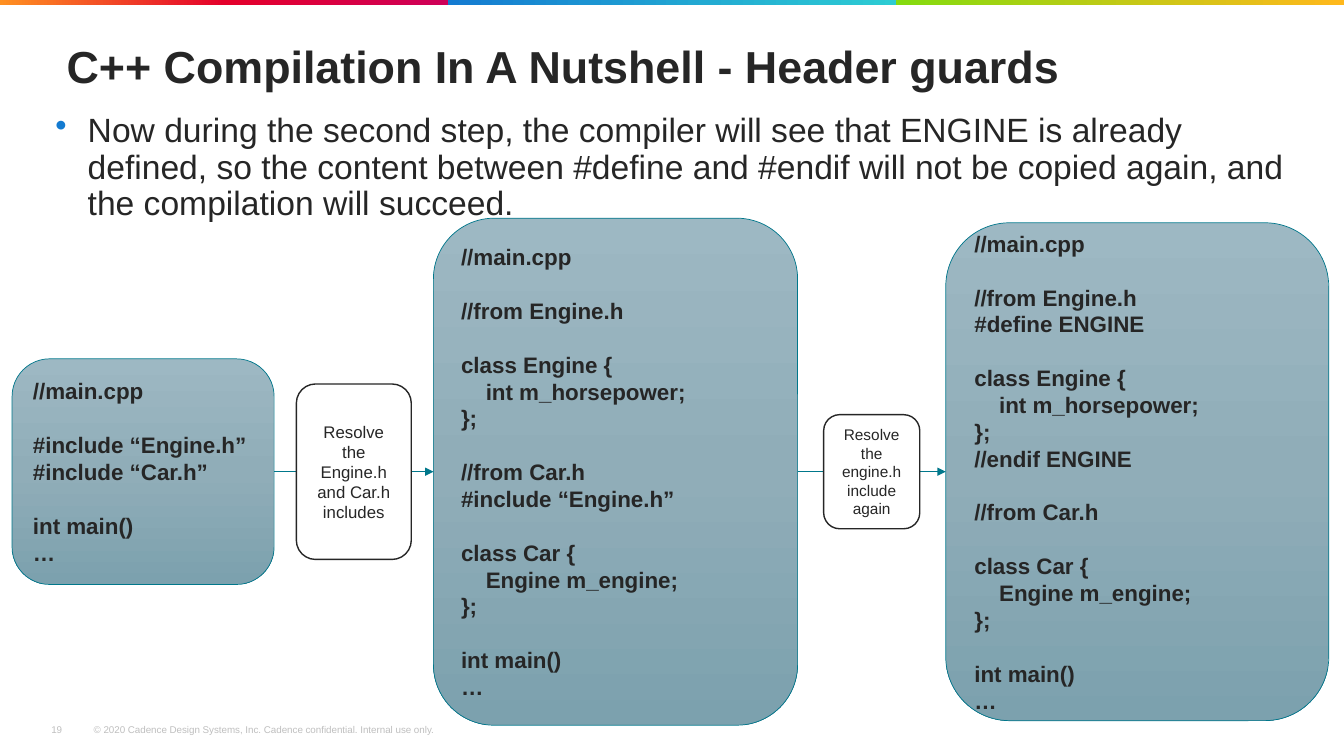
from lxml import etree
from pptx import Presentation
from pptx.dml.color import RGBColor
from pptx.enum.shapes import MSO_CONNECTOR, MSO_SHAPE
from pptx.enum.text import MSO_ANCHOR, PP_ALIGN
from pptx.oxml.ns import qn
from pptx.util import Inches, Pt

RECT, ROUND = MSO_SHAPE.RECTANGLE, MSO_SHAPE.ROUNDED_RECTANGLE
LINE = MSO_CONNECTOR.STRAIGHT
TOP, MIDDLE = MSO_ANCHOR.TOP, MSO_ANCHOR.MIDDLE
LEFT, CENTER = PP_ALIGN.LEFT, PP_ALIGN.CENTER

COLORS = {"ink": "262626", "teal": "00778B", "blue": "147BD1",
          "gray": "BFBFBF", "white": "FFFFFF"}
PANEL = ("9DB8C3", "90ADB8", "7CA1AE")
BANDS = (("FF9021", "E4002B", "CE0058"), ("147BD1", "2DCCD3"),
         ("84DB0F", "FFB81C"))
WIDE, HIGH = Inches(13.33), Inches(7.5)
PAGE = (0, 0, WIDE, HIGH)
BLANK_LINE = 19.2

MAIN = """//main.cpp

#include “Engine.h”
#include “Car.h”

int main()
…"""
FIRST = """//main.cpp

//from Engine.h

class Engine {
    int m_horsepower;
};

//from Car.h
#include “Engine.h”

class Car {
    Engine m_engine;
};

int main()
…"""
SECOND = """//main.cpp

//from Engine.h
#define ENGINE

class Engine {
    int m_horsepower;
};
//endif ENGINE

//from Car.h

class Car {
    Engine m_engine;
};

int main()
…"""
CODES = ((0.9, 19.5, 44.5, MAIN), (32.25, 27.1, 100, FIRST),
         (70.37, 28.5, 98.2, SECOND))
NOTES = ((8.55, 34.6, 12, "Resolve the Engine.h and Car.h includes"),
         (7.15, 22.5, 11, "Resolve the engine.h include again"))
BODY = ("Now during the second step, the compiler will see that ENGINE is "
        "already defined, so the content between #define and #endif will not "
        "be copied again, and the compilation will succeed.")
RIGHTS = ("© 2020 Cadence Design Systems, Inc. Cadence confidential. "
          "Internal use only.")


def part(box, x, y, w, h):
    """Return the part of a box that is given in percent of its size."""
    left, top, wide, high = box
    return (round(left + wide * x / 100), round(top + high * y / 100),
            round(wide * w / 100), round(high * h / 100))


def color(name):
    """Return a named colour."""
    return RGBColor.from_string(COLORS[name])


def write(shape, text, size, ink="ink", bold=False, align=LEFT, anchor=TOP,
          inset=0.1, spacing=None, bullet=False):
    """Fill a shape with text, turning empty lines into paragraph spacing."""
    frame = shape.text_frame
    frame.word_wrap = True
    frame.vertical_anchor = anchor
    frame.margin_left = Inches(inset)
    para = frame.paragraphs[0]
    for i, block in enumerate(text.split("\n\n")):
        for j, line in enumerate(block.split("\n")):
            if i or j:
                para = frame.add_paragraph()
            if i and not j:
                para.space_before = Pt(BLANK_LINE)
            if spacing:
                para.line_spacing = spacing
            if bullet:
                mark(para)
            para.alignment = align
            run = para.add_run()
            run.text = line
            font = run.font
            font.name, font.size, font.bold = "Arial", Pt(size), bold
            font.color.rgb = color(ink)


def mark(para):
    """Give a paragraph a blue bullet and a hanging indent."""
    props = para._p.get_or_add_pPr()
    props.set("marL", str(Inches(0.38)))
    props.set("indent", str(-Inches(0.32)))
    tint = etree.SubElement(props, qn("a:buClr"))
    etree.SubElement(tint, qn("a:srgbClr"), val=COLORS["blue"])
    etree.SubElement(props, qn("a:buChar"), char="•")


def label(slide, box, text, size, **form):
    """Add a text box."""
    write(slide.shapes.add_textbox(*box), text, size, **form)


def plate(slide, kind, box, edge=None, width=1):
    """Add a white shape with an optional edge."""
    shape = slide.shapes.add_shape(kind, *box)
    shape.shadow.inherit = False
    shape.fill.solid()
    shape.fill.fore_color.rgb = color("white")
    if edge:
        shape.line.color.rgb = color(edge)
        shape.line.width = Pt(width)
    else:
        shape.line.fill.background()
    return shape


def blend(shape, tones, angle):
    """Fill a shape with evenly spaced gradient tones."""
    shape.fill.gradient()
    shape.fill.gradient_angle = angle
    stops = shape._element.spPr.find(".//" + qn("a:gsLst"))
    for stop in list(stops):
        stops.remove(stop)
    for i, tone in enumerate(tones):
        place = str(100000 * i // (len(tones) - 1))
        stop = etree.SubElement(stops, qn("a:gs"), pos=place)
        etree.SubElement(stop, qn("a:srgbClr"), val=tone)


def arrow(slide, start, end, y):
    """Add a level arrow."""
    line = slide.shapes.add_connector(LINE, start, y, end, y)
    line.line.color.rgb = color("teal")
    line.line.width = Pt(0.5)
    etree.SubElement(line.line._get_or_add_ln(), qn("a:tailEnd"),
                     type="triangle")
    etree.SubElement(line._element.spPr, qn("a:effectLst"))


def banner(slide, box):
    """Draw the colour bands along the top."""
    step = 100 / len(BANDS)
    for i, tones in enumerate(BANDS):
        band = plate(slide, RECT, part(box, i * step, 0, step, 100))
        blend(band, tones, 0)


def footer(slide, box):
    """Write the page number and the rights line."""
    label(slide, part(box, 3.08, 0, 3.75, 100), "19", 7, ink="gray")
    label(slide, part(box, 6.23, 0, 50, 100), RIGHTS, 7, ink="gray")


def header(slide, box):
    """Write the title and the bullet below it."""
    label(slide, part(box, 0, 0, 100, 40),
          "C++ Compilation In A Nutshell - Header guards", 32, bold=True,
          inset=0.17, spacing=0.9)
    label(slide, part(box, 0, 40, 100, 60), BODY, 24, inset=0, spacing=0.9,
          bullet=True)


def flow(slide, box):
    """Draw the code panels and the steps that join them."""
    mid = round(box[1] + box[3] / 2)
    ends = []
    for x, w, h, code in CODES:
        area = part(box, x, 50 - h / 2, w, h)
        panel = plate(slide, ROUND, area, "teal", 0.5)
        blend(panel, PANEL, 270)
        write(panel, code, 16, bold=True, anchor=MIDDLE)
        ends.append((x, x + w))
    for (w, h, size, text), left, right in zip(NOTES, ends, ends[1:]):
        start, end = left[1], right[0]
        arrow(slide, part(box, start, 0, 0, 0)[0],
              part(box, end, 0, 0, 0)[0], mid)
        area = part(box, (start + end - w) / 2, 50 - h / 2, w, h)
        write(plate(slide, ROUND, area, "ink"), text, size, align=CENTER,
              anchor=MIDDLE)


def main():
    """Build and save the slide."""
    deck = Presentation()
    deck.slide_width, deck.slide_height = WIDE, HIGH
    slide = deck.slides.add_slide(deck.slide_layouts[6])
    footer(slide, part(PAGE, 0, 95.07, 100, 2.93))
    banner(slide, part(PAGE, 0, 0, 100, 0.67))
    header(slide, part(PAGE, 3.68, 5.33, 92.8, 22.67))
    flow(slide, part(PAGE, 0, 28.86, 100, 67.07))
    deck.save("out.pptx")


if __name__ == "__main__":
    main()
